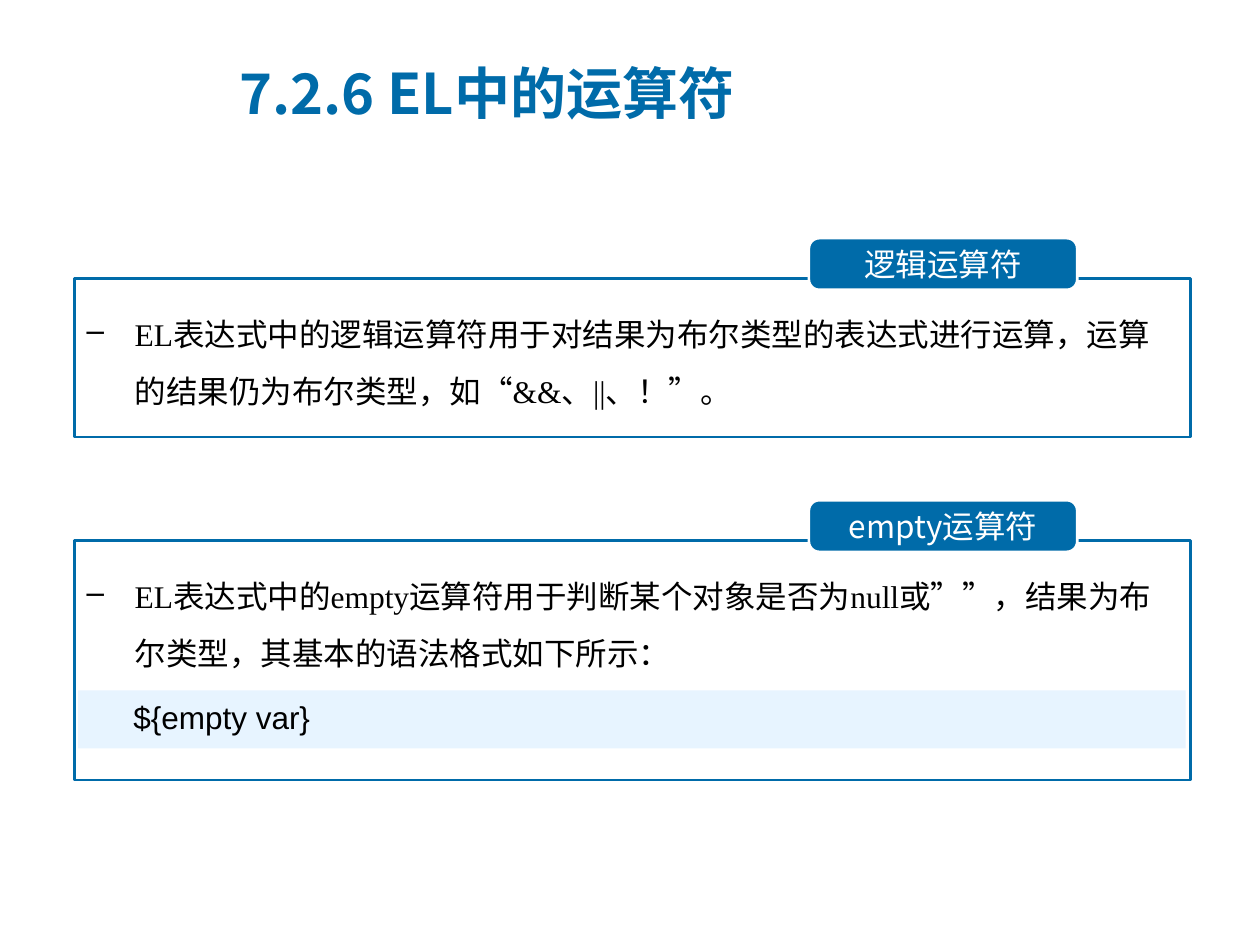
"""Build the slide on logical and empty operators in EL."""
from dataclasses import dataclass

from lxml import etree
from pptx import Presentation
from pptx.dml.color import RGBColor
from pptx.enum.shapes import MSO_SHAPE
from pptx.enum.text import MSO_ANCHOR, PP_ALIGN
from pptx.oxml.ns import qn
from pptx.shapes.autoshape import Shape
from pptx.slide import Slide
from pptx.text.text import _Paragraph
from pptx.util import Inches, Pt

RECTANGLE = MSO_SHAPE.RECTANGLE
ROUNDED = MSO_SHAPE.ROUNDED_RECTANGLE
MIDDLE = MSO_ANCHOR.MIDDLE
CENTER = PP_ALIGN.CENTER
BLUE, PALE, WHITE, BLACK = "006BA9", "E7F4FF", "FFFFFF", "000000"
SANS, SERIF, CODE = "Noto Sans CJK SC", "Times New Roman", "Arial"


@dataclass
class Area:
    left: float
    top: float
    width: float
    height: float

    def lengths(self) -> list[Inches]:
        return [Inches(n) for n in (self.left, self.top, self.width, self.height)]


@dataclass
class Section:
    label: str
    body: str
    top: float
    height: float


SECTIONS = [
    Section("逻辑运算符",
            "EL表达式中的逻辑运算符用于对结果为布尔类型的表达式进行运算，运算的结果仍为布尔类型，如“&&、||、！”。",
            2.21, 1.26),
    Section("empty运算符",
            "EL表达式中的empty运算符用于判断某个对象是否为null或””，结果为布尔类型，其基本的语法格式如下所示：",
            4.29, 1.9),
]


def color(code: str) -> RGBColor:
    return RGBColor.from_string(code)


def add_span(para: _Paragraph, text: str, face: str, ink: str,
             size: int = 18, bold: bool = False) -> None:
    span = para.add_run()
    span.text = text
    span.font.name = face
    span.font.size = Pt(size)
    span.font.bold = bold
    span.font.color.rgb = color(ink)
    east = etree.SubElement(span.font._element, qn("a:ea"))
    east.set("typeface", SANS)


def add_block(page: Slide, kind: MSO_SHAPE, area: Area,
              fill: str | None = None, line: str | None = None) -> Shape:
    block = page.shapes.add_shape(kind, *area.lengths())
    block.shadow.inherit = False
    if fill:
        block.fill.solid()
        block.fill.fore_color.rgb = color(fill)
    else:
        block.fill.background()
    if line:
        block.line.color.rgb = color(line)
        block.line.width = Pt(1.5)
    else:
        block.line.fill.background()
    return block


def add_text(page: Slide, area: Area) -> Shape:
    box = page.shapes.add_textbox(*area.lengths())
    box.text_frame.word_wrap = True
    return box


def add_dash(para: _Paragraph) -> None:
    properties = para._p.get_or_add_pPr()
    properties.set("marL", str(Inches(0.38)))
    properties.set("indent", str(-Inches(0.38)))
    etree.SubElement(properties, qn("a:buChar")).set("char", "–")


def add_section(page: Slide, section: Section) -> None:
    box = add_text(page, Area(0.59, section.top + 0.09, 8.86, 1.2))
    para = box.text_frame.paragraphs[0]
    add_dash(para)
    para.line_spacing = 1.5
    add_span(para, section.body, SERIF, BLACK)

    add_block(page, RECTANGLE, Area(0.59, section.top, 8.86, section.height), line=BLUE)

    label = add_block(page, ROUNDED, Area(6.42, section.top - 0.32, 2.13, 0.41), BLUE, WHITE)
    label.adjustments[0] = 0.2
    frame = label.text_frame
    frame.vertical_anchor = MIDDLE
    frame.margin_left = frame.margin_right = Inches(0.24)
    frame.margin_top = frame.margin_bottom = Inches(0.06)
    para = frame.paragraphs[0]
    para.alignment = CENTER
    add_span(para, section.label, SANS, WHITE)


def main() -> None:
    deck = Presentation()
    deck.slide_width, deck.slide_height = Inches(10), Inches(7.5)
    page = deck.slides.add_slide(deck.slide_layouts[6])

    for section in SECTIONS:
        add_section(page, section)

    add_block(page, RECTANGLE, Area(0.62, 5.48, 8.79, 0.46), PALE)
    code = add_text(page, Area(0.96, 5.49, 3.73, 0.4))
    add_span(code.text_frame.paragraphs[0], "${empty var}", CODE, BLACK)

    title = add_text(page, Area(1.8, 0.43, 6.78, 0.61))
    title.text_frame.vertical_anchor = MIDDLE
    add_span(title.text_frame.paragraphs[0], "7.2.6 EL中的运算符", SANS, BLUE, 32, True)

    deck.save("out.pptx")


if __name__ == "__main__":
    main()
